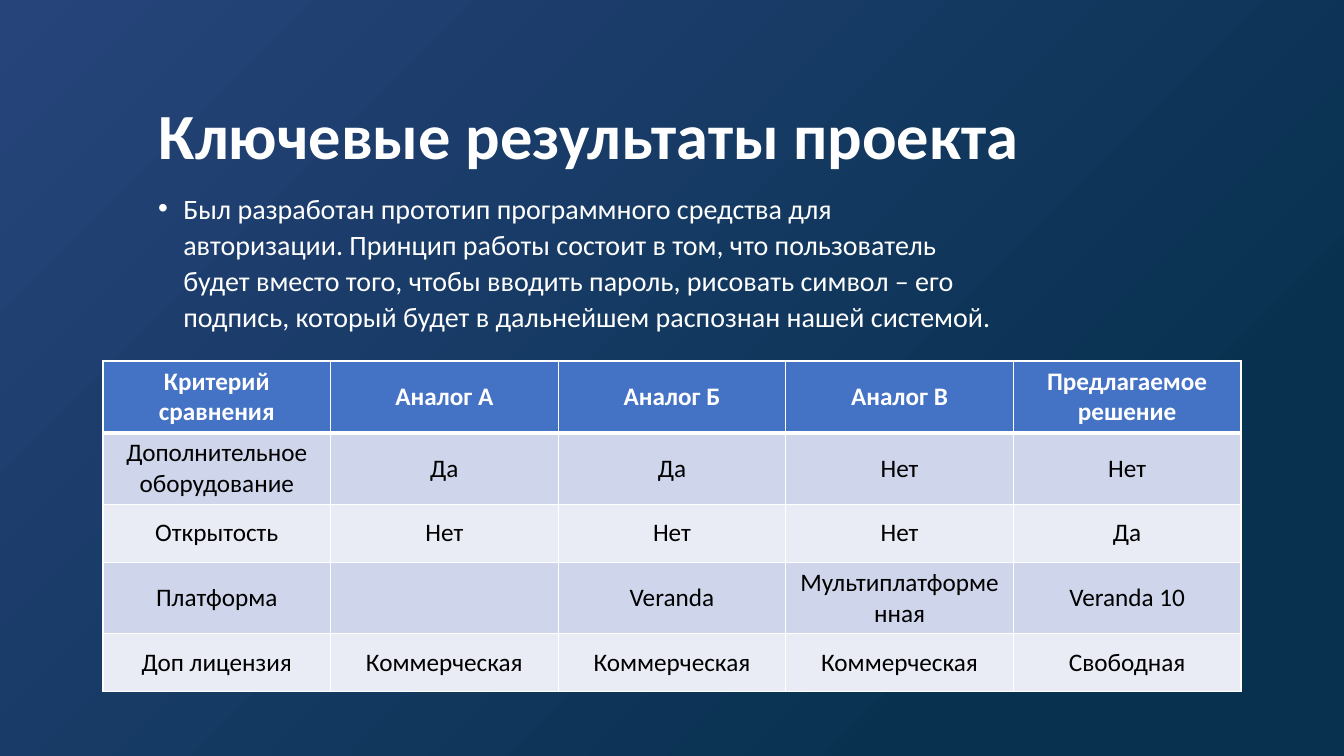
from lxml import etree
from pptx import Presentation
from pptx.dml.color import RGBColor
from pptx.enum.text import MSO_ANCHOR, MSO_AUTO_SIZE, PP_ALIGN
from pptx.oxml import parse_xml
from pptx.oxml.ns import nsdecls, qn
from pptx.util import Emu, Pt

WHITE = RGBColor(0xFF, 0xFF, 0xFF)
BLACK = RGBColor(0x00, 0x00, 0x00)
DEEP_BLUE = RGBColor(0x08, 0x31, 0x50)
INDIGO = RGBColor(0x26, 0x44, 0x7A)
HEADER_BLUE = RGBColor(0x44, 0x72, 0xC4)
BAND_DARK = RGBColor(0xCF, 0xD5, 0xEA)
BAND_LIGHT = RGBColor(0xE9, 0xEB, 0xF5)


def px(n):
    return Emu(round(n * 12192000 / 1344))


def write(tf, text, size, color, bold, para):
    p = tf.paragraphs[0]
    for name, value in para.items():
        setattr(p, name, value)
    r = p.add_run()
    r.text = text
    font = {"name": "Calibri", "size": Pt(size), "bold": bold}
    for name, value in font.items():
        setattr(r.font, name, value)
    r.font.color.rgb = color
    return p


prs = Presentation()
prs.slide_width, prs.slide_height = px(1344), px(756)
s = prs.slides.add_slide(prs.slide_layouts[1])

fill = s.background.fill
fill.gradient()
for stop, position, color in zip(fill.gradient_stops, (0.21, 1), (DEEP_BLUE, INDIGO)):
    stop.position = position
    stop.color.rgb = color
grad = next(s.element.iter(qn("a:gradFill")))
grad.remove(grad.find(qn("a:lin")))
circle = etree.SubElement(grad, qn("a:path"), path="circle")
etree.SubElement(circle, qn("a:fillToRect"), l="100000", t="100000")
etree.SubElement(grad, qn("a:tileRect"), r="-100000", b="-100000")

title, body = s.placeholders
boxes = [
    (title, (148, 92, 881, 93), MSO_ANCHOR.MIDDLE),
    (body, (148, 184, 859, 161), MSO_ANCHOR.TOP),
]
for sp, box, anchor in boxes:
    sp.left, sp.top, sp.width, sp.height = map(px, box)
    tf = sp.text_frame
    frame = {"word_wrap": True, "auto_size": MSO_AUTO_SIZE.NONE, "vertical_anchor": anchor}
    for name, value in frame.items():
        setattr(tf, name, value)

write(title.text_frame, "Ключевые результаты проекта", 46, WHITE, True,
      {"alignment": PP_ALIGN.CENTER, "line_spacing": 0.9})
p = write(
    body.text_frame,
    "Был разработан прототип программного средства для авторизации. "
    "Принцип работы состоит в том, что пользователь будет вместо того, "
    "чтобы вводить пароль, рисовать символ – его подпись, который будет "
    "в дальнейшем распознан нашей системой.",
    20, WHITE, False,
    {"alignment": PP_ALIGN.LEFT, "line_spacing": 1.07,
     "space_before": Pt(10), "space_after": Pt(8)},
)
pPr = p._p.get_or_add_pPr()
pPr.set("marL", "228600")
pPr.set("indent", "-228600")
etree.SubElement(pPr, qn("a:buFont"), typeface="Arial")
etree.SubElement(pPr, qn("a:buChar"), char="•")

rows = [
    ["Критерий сравнения", "Аналог А", "Аналог Б", "Аналог В", "Предлагаемое решение"],
    ["Дополнительное оборудование", "Да", "Да", "Нет", "Нет"],
    ["Открытость", "Нет", "Нет", "Нет", "Да"],
    ["Платформа", "", "Veranda", "Мультиплатформенная", "Veranda 10"],
    ["Доп лицензия", "Коммерческая", "Коммерческая", "Коммерческая", "Свободная"],
]
table = s.shapes.add_table(5, 5, px(103), px(361), px(1138), px(290)).table
for i, row in enumerate(rows):
    header = i == 0
    band = HEADER_BLUE if header else (BAND_LIGHT, BAND_DARK)[i % 2]
    borders = {"L": 1, "R": 1, "T": 3 if i == 1 else 1, "B": 3 if header else 1}
    for j, text in enumerate(row):
        cell = table.cell(i, j)
        cell.vertical_anchor = MSO_ANCHOR.MIDDLE
        cell.fill.solid()
        cell.fill.fore_color.rgb = band
        if text:
            write(cell.text_frame, text, 18, WHITE if header else BLACK, header,
                  {"alignment": PP_ALIGN.CENTER})
        tcPr = cell._tc.get_or_add_tcPr()
        for k, (side, width) in enumerate(borders.items()):
            tcPr.insert(k, parse_xml(
                f'<a:ln{side} {nsdecls("a")} w="{Pt(width)}"><a:solidFill>'
                f'<a:srgbClr val="{WHITE}"/></a:solidFill></a:ln{side}>'))

prs.save("out.pptx")
